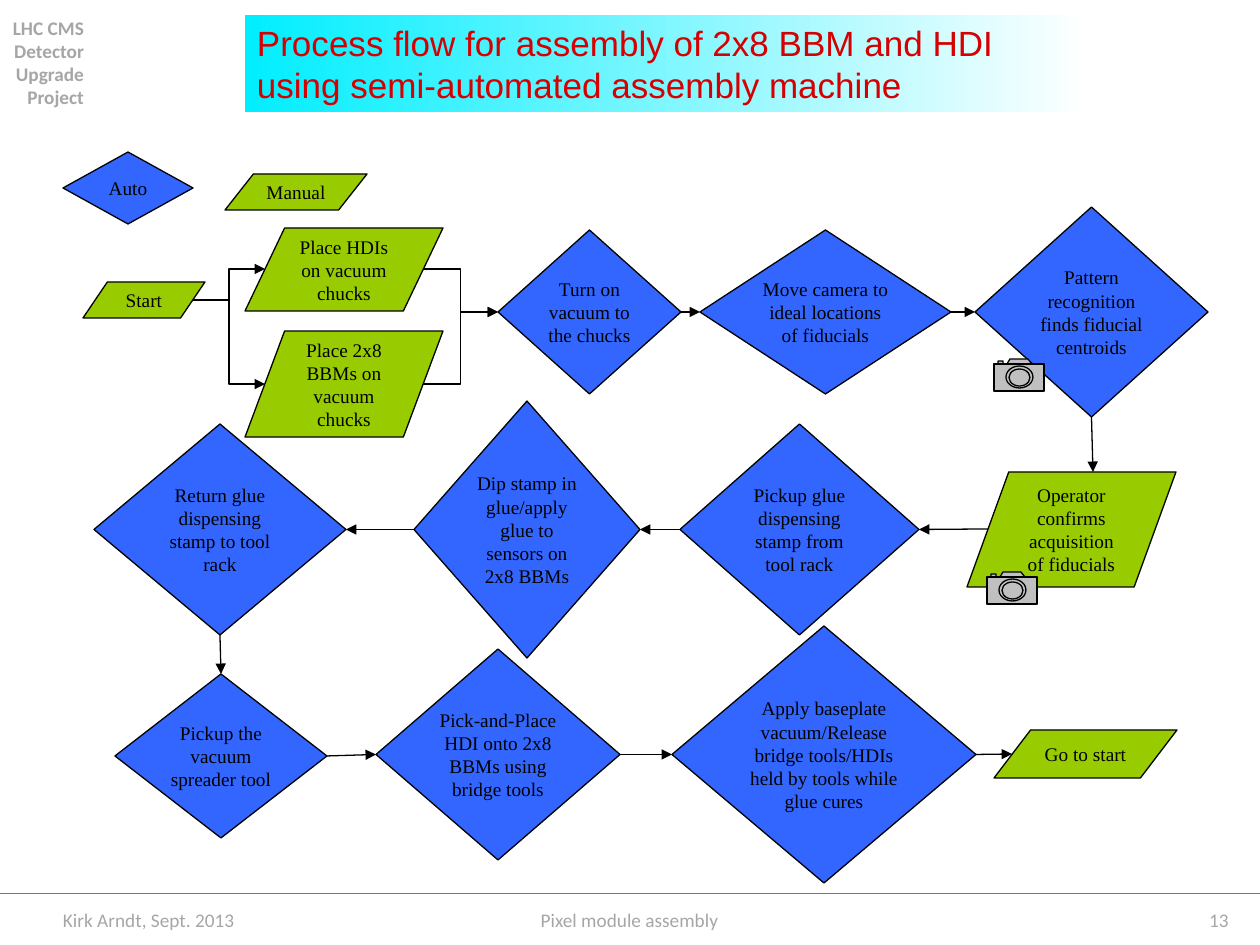
from dataclasses import dataclass

from lxml import etree
from pptx import Presentation
from pptx import util as u
from pptx.dml.color import RGBColor
from pptx.enum import shapes, text
from pptx.oxml import ns

SCALE = 914400 / 126
LEFT, CENTER, RIGHT = text.PP_ALIGN.LEFT, text.PP_ALIGN.CENTER, text.PP_ALIGN.RIGHT


def px(n):
    return u.Emu(round(n * SCALE))


@dataclass(frozen=True)
class Theme:
    auto: str = "3366FF"
    manual: str = "99CC00"
    ink: str = "000000"
    camera: str = "C0C0C0"
    title: str = "D50001"
    title_from: str = "00EEFF"
    title_to: str = "FFFFFF"
    muted: str = "A6A6A6"
    rule: str = "4F81BD"
    title_size: int = 20
    size: int = 11
    title_font: str = "Arial"
    step_font: str = "Times New Roman"
    footer_font: str = "Calibri"


class Flow:
    def __init__(self, s, theme):
        self.s = s
        self.t = theme

    def add_text(self, sp, lines, font, size, color, align, side=0, bold=False):
        tf = sp.text_frame
        tf.word_wrap = True
        tf.vertical_anchor = text.MSO_ANCHOR.MIDDLE
        tf.margin_left = tf.margin_right = px(side)
        for i, line in enumerate(lines):
            p = tf.paragraphs[0] if i == 0 else tf.add_paragraph()
            p.alignment = align
            r = p.add_run()
            r.text = line
            r.font.name = font
            r.font.size = u.Pt(size)
            r.font.bold = bold
            r.font.color.rgb = RGBColor.from_string(color)

    def paint(self, sp, fill):
        sp.shadow.inherit = False
        sp.fill.solid()
        sp.fill.fore_color.rgb = RGBColor.from_string(fill)
        sp.line.color.rgb = RGBColor.from_string(self.t.ink)
        sp.line.width = u.Pt(0.75)

    def step(self, kind, fill, words, box, side):
        sp = self.s.shapes.add_shape(kind, *map(px, box))
        self.paint(sp, fill)
        self.add_text(sp, [words], self.t.step_font, self.t.size, self.t.ink, CENTER, side)
        return sp

    def auto(self, words, *box, side=0):
        kind = shapes.MSO_SHAPE.FLOWCHART_DECISION
        return self.step(kind, self.t.auto, words, box, side)

    def manual(self, words, *box):
        kind = shapes.MSO_SHAPE.FLOWCHART_DATA
        return self.step(kind, self.t.manual, words, box, 12)

    def line(self, begin, end, color, width, kind=shapes.MSO_CONNECTOR.STRAIGHT):
        c = self.s.shapes.add_connector(kind, *map(px, (*begin, *end)))
        c.line.color.rgb = RGBColor.from_string(color)
        c.line.width = u.Pt(width)
        etree.SubElement(c._element.spPr, ns.qn("a:effectLst"))
        return c

    def arrow(self, begin, end, kind=shapes.MSO_CONNECTOR.STRAIGHT):
        c = self.line(begin, end, self.t.ink, 0.75, kind)
        ln = c._element.spPr.find(ns.qn("a:ln"))
        etree.SubElement(ln, ns.qn("a:tailEnd"), type="triangle")
        return c

    def elbow(self, begin, end):
        return self.arrow(begin, end, shapes.MSO_CONNECTOR.ELBOW)

    def link(self, a, a_side, b, b_side):
        c = self.arrow((0, 0), (0, 0))
        c.begin_connect(a, a_side)
        c.end_connect(b, b_side)

    def camera(self, x, y):
        g = self.s.shapes.add_group_shape()
        outline = g.shapes.build_freeform(0, 32, SCALE)
        outline.add_line_segments(
            [(0, 5), (4, 5), (4, 2), (9, 2), (9, 5), (13, 5), (16, 0),
             (34, 0), (38, 5), (50, 5), (50, 32)], close=True)
        self.paint(outline.convert_to_shape(px(x), px(y)), self.t.camera)
        oval = shapes.MSO_SHAPE.OVAL
        for kind, dx, dy, w, h in ((shapes.MSO_SHAPE.RECTANGLE, 0, 5, 50, 27),
                                   (oval, 12, 7, 27, 22), (oval, 15, 10, 21, 17)):
            sp = g.shapes.add_shape(kind, px(x + dx), px(y + dy), px(w), px(h))
            self.paint(sp, self.t.camera)

    def title(self, words, *box):
        sp = self.s.shapes.add_textbox(*map(px, box))
        sp.fill.gradient()
        sp.fill.gradient_angle = 0
        for stop, color in zip(sp.fill.gradient_stops, (self.t.title_from, self.t.title_to)):
            stop.color.rgb = RGBColor.from_string(color)
        self.add_text(sp, [words], self.t.title_font, self.t.title_size, self.t.title, LEFT, 12)

    def label(self, lines, box, align, bold=False):
        sp = self.s.shapes.add_textbox(*map(px, box))
        self.add_text(sp, lines, self.t.footer_font, self.t.size, self.t.muted, align, bold=bold)


def main():
    prs = Presentation()
    prs.slide_width, prs.slide_height = px(1260), px(945)
    f = Flow(prs.slides.add_slide(prs.slide_layouts[6]), Theme())

    f.line((0, 893), (1260, 893), f.t.rule, 0.25)
    f.title("Process flow for assembly of 2x8 BBM and HDI using semi-automated assembly machine",
            245, 15, 843, 97)
    f.label(["LHC CMS", "Detector", "Upgrade", "Project"], (0, 9, 84, 106), RIGHT, True)

    f.auto("Auto", 63, 152, 130, 72, side=12)
    f.manual("Manual", 225, 174, 142, 36)

    f.manual("Start", 83, 282, 122, 36)
    f.manual("Place HDIs on vacuum chucks", 245, 228, 198, 83)
    f.manual("Place 2x8 BBMs on vacuum chucks", 245, 331, 198, 106)
    turn_on = f.auto("Turn on vacuum to the chucks", 498, 230, 183, 164)
    move = f.auto("Move camera to ideal locations of fiducials", 700, 230, 251, 164)
    pattern = f.auto("Pattern recognition finds fiducial centroids", 975, 207, 233, 210)

    f.manual("Operator confirms acquisition of fiducials", 967, 472, 209, 115)
    pickup = f.auto("Pickup glue dispensing stamp from tool rack", 680, 424, 239, 211)
    dip = f.auto("Dip stamp in glue/apply glue to sensors on 2x8 BBMs", 414, 401, 226, 257)
    give_back = f.auto("Return glue dispensing stamp to tool rack", 94, 424, 252, 211)

    spreader = f.auto("Pickup the vacuum spreader tool", 115, 674, 212, 164)
    place = f.auto("Pick-and-Place HDI onto 2x8 BBMs using bridge tools", 376, 649, 244, 211)
    baseplate = f.auto("Apply baseplate vacuum/Release bridge tools/HDIs held by tools while glue cures",
                       672, 626, 304, 257)
    f.manual("Go to start", 994, 730, 183, 48)

    for y in (269, 384):
        f.elbow((193, 300), (265, y))
        f.elbow((423, y), (498, 312))
    for a, a_side, b, b_side in ((turn_on, 3, move, 1), (move, 3, pattern, 1),
                                 (pickup, 1, dip, 3), (dip, 1, give_back, 3),
                                 (give_back, 2, spreader, 0), (spreader, 3, place, 1),
                                 (place, 3, baseplate, 1)):
        f.link(a, a_side, b, b_side)
    f.arrow((1091, 417), (1093, 472)).begin_connect(pattern, 2)
    f.arrow((988, 529), (919, 529)).end_connect(pickup, 3)
    f.arrow((976, 754), (1012, 754)).begin_connect(baseplate, 3)

    f.camera(994, 359)
    f.camera(987, 572)

    f.label(["Kirk Arndt, Sept. 2013"], (63, 895, 255, 50), LEFT)
    f.label(["Pixel module assembly"], (319, 895, 621, 50), CENTER)
    f.label(["13"], (1178, 895, 82, 50), CENTER)
    prs.save("out.pptx")


if __name__ == "__main__":
    main()
